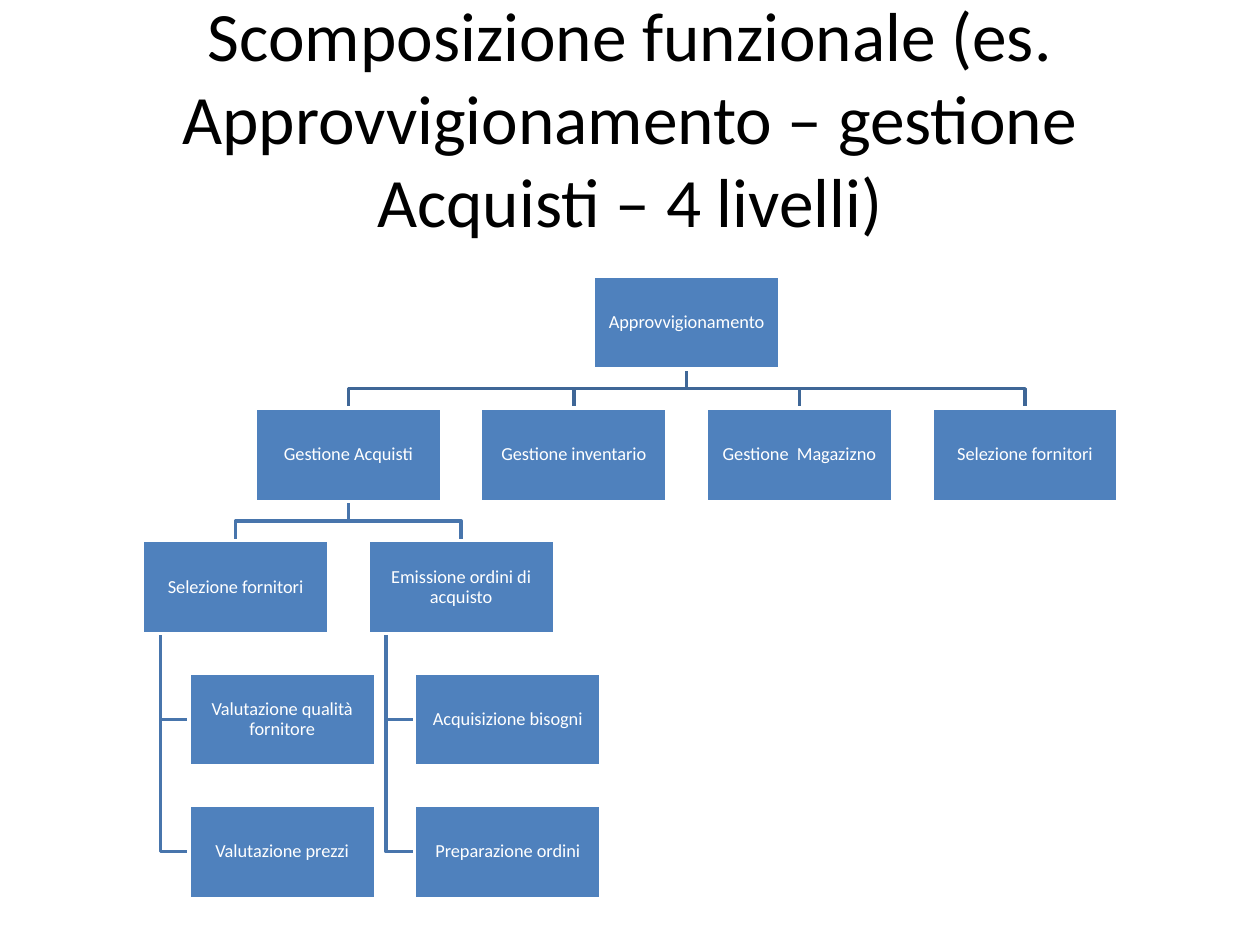
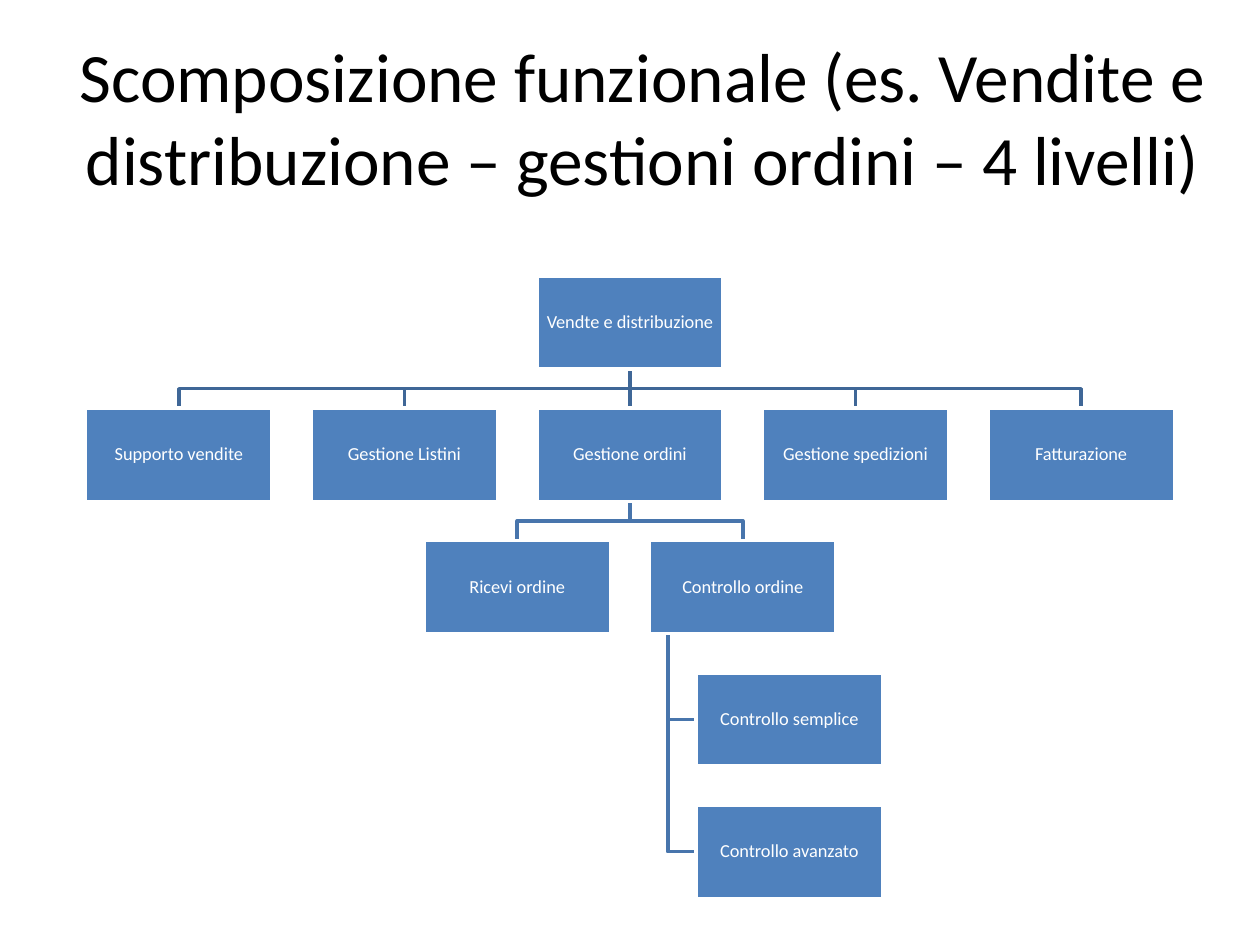
from lxml import etree
from pptx import Presentation
from pptx import util as u
from pptx.dml.color import RGBColor
from pptx.enum import shapes, text
from pptx.oxml.ns import qn

PX = 4572  # EMU per px, 200 px to the inch
FONT = "Calibri"
COLORS = {"title": "000000", "box": "4F81BD", "white": "FFFFFF",
          "upper_line": "3F6797", "lower_line": "4875AC"}

BOX_WIDTH, BOX_HEIGHT = 296, 148
COLUMN_STEP, ROW_STEP = 358, 210
FIRST_ROW = 438
LEAF_INDENT, TRUNK_INDENT = 74, 29
BOX_INSET = 2

CHARTS = [
    {"title": "Scomposizione funzionale (es. Approvvigionamento – gestione Acquisti – 4 livelli)",
     "title_width": 1800,
     "root": "Approvvigionamento", "root_center": 1090,
     "areas": ["Gestione Acquisti", "Gestione inventario", "Gestione  Magazizno",
               "Selezione fornitori"],
     "expanded": 0,
     "activities": {
         "Selezione fornitori": ["Valutazione qualità fornitore", "Valutazione prezzi"],
         "Emissione ordini di acquisto": ["Acquisizione bisogni", "Preparazione ordini"]}},
    {"title": "Scomposizione funzionale (es. Vendite e distribuzione – gestioni ordini – 4 livelli)",
     "title_width": 1840,
     "root": "Vendte e distribuzione", "root_center": 1000,
     "areas": ["Supporto vendite", "Gestione Listini", "Gestione ordini",
               "Gestione spedizioni", "Fatturazione"],
     "expanded": 2,
     "activities": {
         "Ricevi ordine": [],
         "Controllo ordine": ["Controllo semplice", "Controllo avanzato"]}},
]


def add_box(slide, label, center, row):
    box = slide.shapes.add_shape(
        shapes.MSO_SHAPE.RECTANGLE, (center - BOX_WIDTH // 2) * PX,
        (FIRST_ROW + row * ROW_STEP) * PX, BOX_WIDTH * PX, BOX_HEIGHT * PX)
    box.shadow.inherit = False
    box.fill.solid()
    box.fill.fore_color.rgb = RGBColor.from_string(COLORS["box"])
    box.line.color.rgb = RGBColor.from_string(COLORS["white"])
    box.line.width = u.Pt(2)
    frame = box.text_frame
    frame.word_wrap = True
    frame.vertical_anchor = text.MSO_ANCHOR.MIDDLE
    frame.margin_left = frame.margin_right = BOX_INSET * PX
    frame.margin_top = frame.margin_bottom = BOX_INSET * PX
    paragraph = frame.paragraphs[0]
    paragraph.text = label
    paragraph.alignment = text.PP_ALIGN.CENTER
    paragraph.line_spacing = 0.9
    paragraph.font.name = FONT
    paragraph.font.size = u.Pt(10.5)
    paragraph.font.color.rgb = RGBColor.from_string(COLORS["white"])
    return box


def link_boxes(slide, parent, child, color, root):
    """Join two boxes with a line kept behind every box, from root on."""
    left, bottom = parent.left // PX, parent.top // PX + BOX_HEIGHT
    start = left + BOX_WIDTH // 2
    child_left, child_top = child.left // PX, child.top // PX
    if child_left == left:
        line = slide.shapes.add_connector(shapes.MSO_CONNECTOR.STRAIGHT, 0, 0, 0, 0)
        line.begin_connect(parent, 2)
        line.end_connect(child, 0)
        etree.SubElement(line._element.spPr, qn("a:effectLst"))
    else:
        if child_left == left + LEAF_INDENT:
            start = left + TRUNK_INDENT
            middle = child_top + BOX_HEIGHT // 2
            points = [(start, middle), (child_left, middle)]
        else:
            end = child_left + BOX_WIDTH // 2
            middle = bottom + (ROW_STEP - BOX_HEIGHT) // 2
            points = [(start, middle), (end, middle), (end, child_top)]
        builder = slide.shapes.build_freeform(start, bottom, scale=PX)
        builder.add_line_segments(points, close=False)
        line = builder.convert_to_shape()
        line.fill.background()
        line.shadow.inherit = False
    line.line.color.rgb = RGBColor.from_string(COLORS[color])
    line.line.width = u.Pt(2)
    root._element.addprevious(line._element)


presentation = Presentation()
presentation.slide_width = 2000 * PX
presentation.slide_height = 1500 * PX

for chart in CHARTS:
    slide = presentation.slides.add_slide(presentation.slide_layouts[5])
    title = slide.shapes.title
    title.left, title.top = 100 * PX, 60 * PX
    title.width, title.height = chart["title_width"] * PX, 250 * PX
    title.text_frame.auto_size = text.MSO_AUTO_SIZE.NONE
    title.text_frame.word_wrap = True
    title.text_frame.vertical_anchor = text.MSO_ANCHOR.MIDDLE
    paragraph = title.text_frame.paragraphs[0]
    paragraph.text = chart["title"]
    paragraph.alignment = text.PP_ALIGN.CENTER
    paragraph.font.name = FONT
    paragraph.font.size = u.Pt(39.6)
    paragraph.font.color.rgb = RGBColor.from_string(COLORS["title"])

    root_center = chart["root_center"]
    root = add_box(slide, chart["root"], root_center, 0)

    first_area = root_center - (len(chart["areas"]) - 1) * COLUMN_STEP // 2
    for column, label in enumerate(chart["areas"]):
        area = add_box(slide, label, first_area + column * COLUMN_STEP, 1)
        link_boxes(slide, root, area, "upper_line", root)
        if column == chart["expanded"]:
            expanded_area = area

    expanded_center = first_area + chart["expanded"] * COLUMN_STEP
    first_activity = expanded_center - (len(chart["activities"]) - 1) * COLUMN_STEP // 2
    for column, (label, steps) in enumerate(chart["activities"].items()):
        center = first_activity + column * COLUMN_STEP
        activity = add_box(slide, label, center, 2)
        link_boxes(slide, expanded_area, activity, "lower_line", root)
        for row, step in enumerate(steps, start=3):
            leaf = add_box(slide, step, center + LEAF_INDENT, row)
            link_boxes(slide, activity, leaf, "lower_line", root)

presentation.save("out.pptx")
